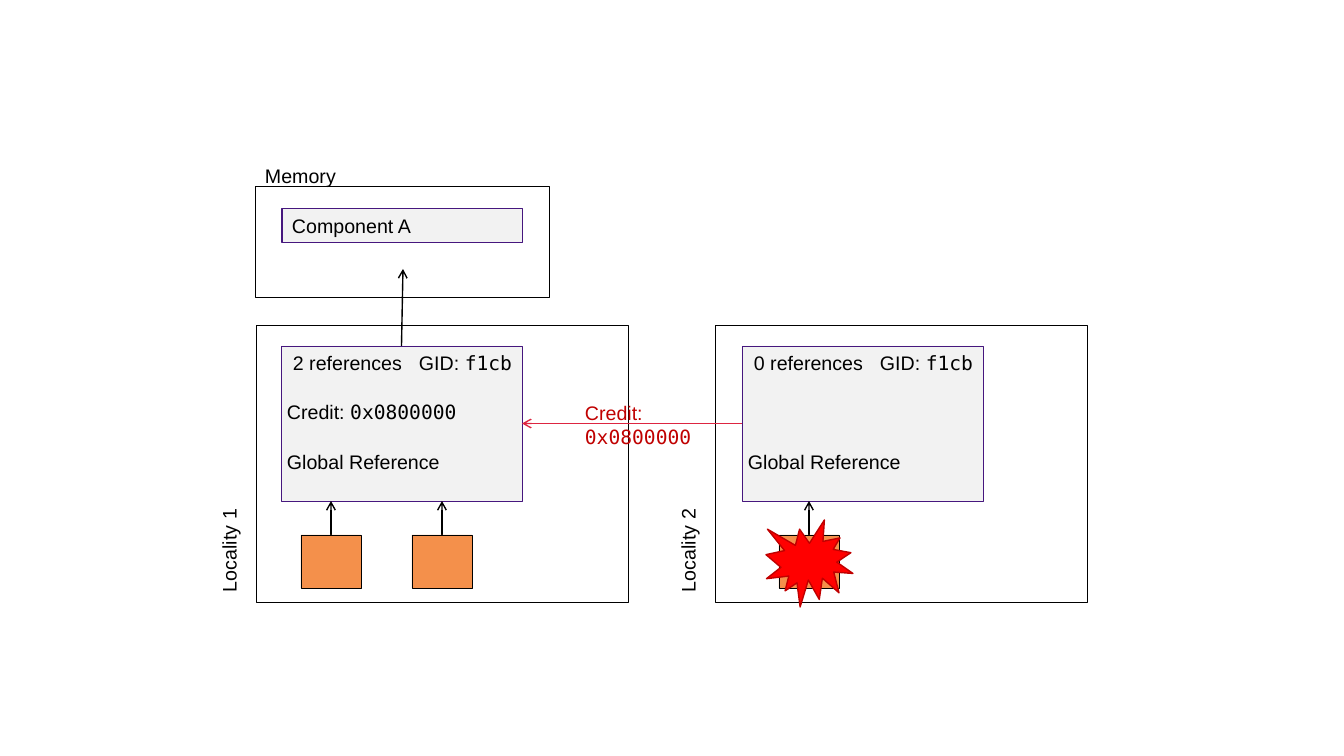
from pptx import Presentation
from pptx.dml.color import RGBColor
from pptx.enum.shapes import MSO_CONNECTOR as Connector, MSO_SHAPE as Shape
from pptx.enum.text import MSO_ANCHOR as Anchor, MSO_AUTO_SIZE as AutoSize, PP_ALIGN as Align
from pptx.oxml.ns import qn
from pptx.util import Emu, Pt
from lxml.etree import SubElement

BLACK = RGBColor(0x00, 0x00, 0x00)
GREY = RGBColor(0xF2, 0xF2, 0xF2)
PURPLE = RGBColor(0x46, 0x17, 0x7E)
ORANGE = RGBColor(0xF4, 0x90, 0x4B)
RED = RGBColor(0xFF, 0x00, 0x00)
DARK_RED = RGBColor(0xC0, 0x00, 0x00)
CRIMSON = RGBColor(0xDD, 0x25, 0x41)
SANS, MONO = "Arial", "DejaVu Sans Mono"
TOP, LEFT, RIGHT = 0, 1, 3


def px(length):
    return Emu(round(length * 914400 / 100.8))


def write(frame, text, code="", color=BLACK, align=Align.LEFT, size=14):
    para = frame.paragraphs[0]
    para.alignment = align
    for words, font in ((text, SANS), (code, MONO)):
        if words:
            span = para.add_run()
            span.text = words
            span.font.name = font
            span.font.size = Pt(size)
            span.font.color.rgb = color


class Diagram:
    def __init__(self, slide):
        self.shapes = slide.shapes

    def box(self, left, top, width, height, fill=None, line=BLACK, weight=0.5, kind=Shape.RECTANGLE):
        box = self.shapes.add_shape(kind, px(left), px(top), px(width), px(height))
        box.shadow.inherit = False
        if fill is None:
            box.fill.background()
        else:
            box.fill.solid()
            box.fill.fore_color.rgb = fill
        box.line.color.rgb = line
        box.line.width = Pt(weight)
        return box

    def label(self, left, top, width, height, text, wrap=True, vertical=False, **style):
        frame = self.shapes.add_textbox(px(left), px(top), px(width), px(height)).text_frame
        frame.word_wrap = wrap
        frame.auto_size = AutoSize.SHAPE_TO_FIT_TEXT
        frame.vertical_anchor = Anchor.TOP
        if vertical:
            frame._txBody.find(qn("a:bodyPr")).set("vert", "vert270")
        write(frame, text, **style)

    def arrow(self, start, end, color=BLACK):
        arrow = self.shapes.add_connector(Connector.STRAIGHT, *map(px, start + end))
        arrow.line.color.rgb = color
        arrow.line.width = Pt(1)
        properties = arrow._element.spPr
        SubElement(properties.find(qn("a:ln")), qn("a:tailEnd"), type="arrow")
        SubElement(properties, qn("a:effectLst"))
        return arrow

    def locality(self, number, frame_left, panel_left, references, square_lefts):
        self.box(frame_left, 325, 372, 277)
        self.label(frame_left - 44, 378, 44, 224, f"Locality {number}", vertical=True)
        panel = self.box(panel_left, 346, 241, 155, GREY, PURPLE)
        self.label(panel_left + 50, 346, 191, 34, "GID: ", code="f1cb", align=Align.RIGHT)
        self.label(panel_left + 2, 346, 130, 34, f"{references} references", wrap=False)
        self.label(panel_left - 4, 445, 174, 34, "Global Reference", wrap=False)
        for left in square_lefts:
            self.arrow((left + 30, 563), (left + 30, 501))
            self.box(left, 535, 60, 53, ORANGE)
        return panel


def main():
    deck = Presentation()
    deck.slide_width, deck.slide_height = px(1344), px(756)
    diagram = Diagram(deck.slides.add_slide(deck.slide_layouts[6]))

    owner = diagram.locality(1, 256, 281, 2, (301, 412))
    diagram.label(277, 395, 272, 34, "Credit: ", code="0x0800000")
    remote = diagram.locality(2, 715, 742, 0, (779,))

    diagram.box(255, 186, 294, 111)
    component = diagram.box(282, 209, 241, 34, GREY, PURPLE, 0.75)
    write(component.text_frame, "Component A")
    diagram.label(255, 159, 241, 34, "Memory")
    diagram.arrow((402, 346), (403, 269)).begin_connect(owner, TOP)

    diagram.label(575, 396, 164, 57, "Credit: ", code="0x0800000", color=DARK_RED)
    credit = diagram.arrow((742, 424), (522, 424), CRIMSON)
    credit.begin_connect(remote, LEFT)
    credit.end_connect(owner, RIGHT)
    diagram.box(766, 520, 87, 87, RED, DARK_RED, 1, Shape.EXPLOSION1)

    deck.save("out.pptx")


if __name__ == "__main__":
    main()
